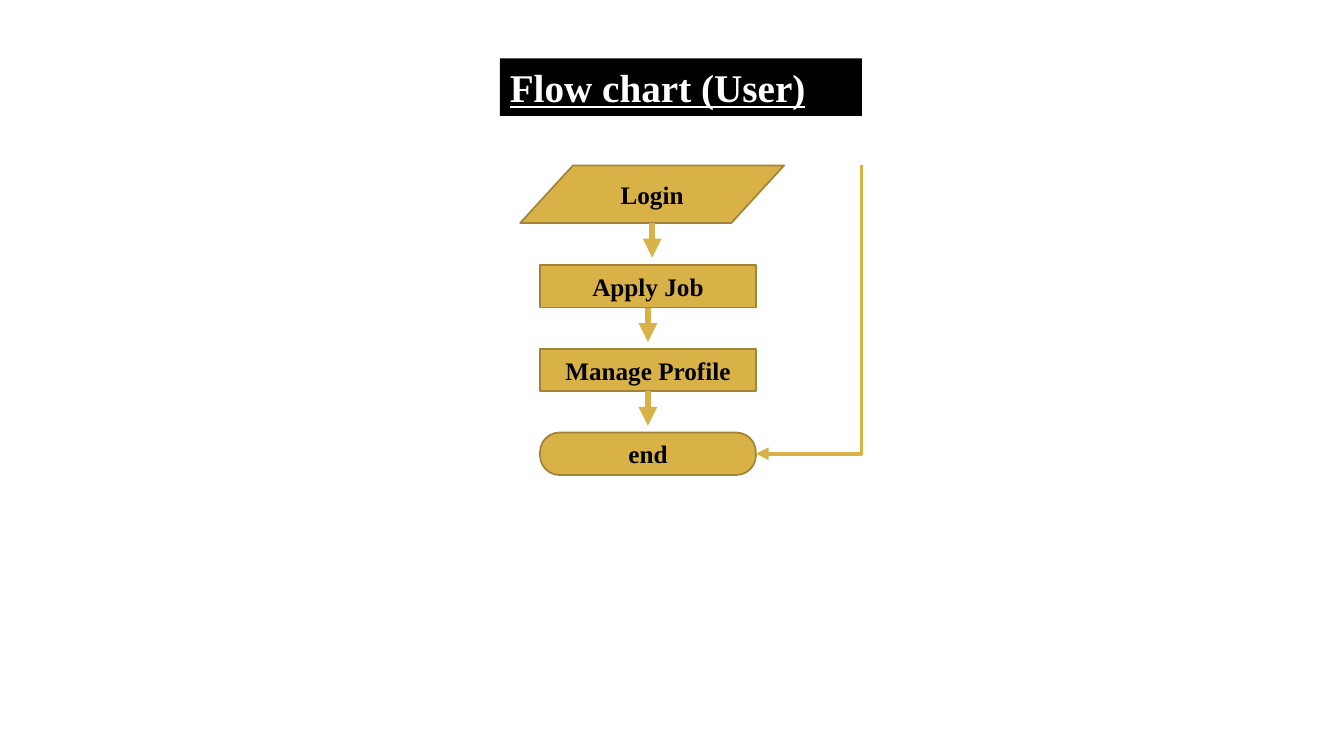
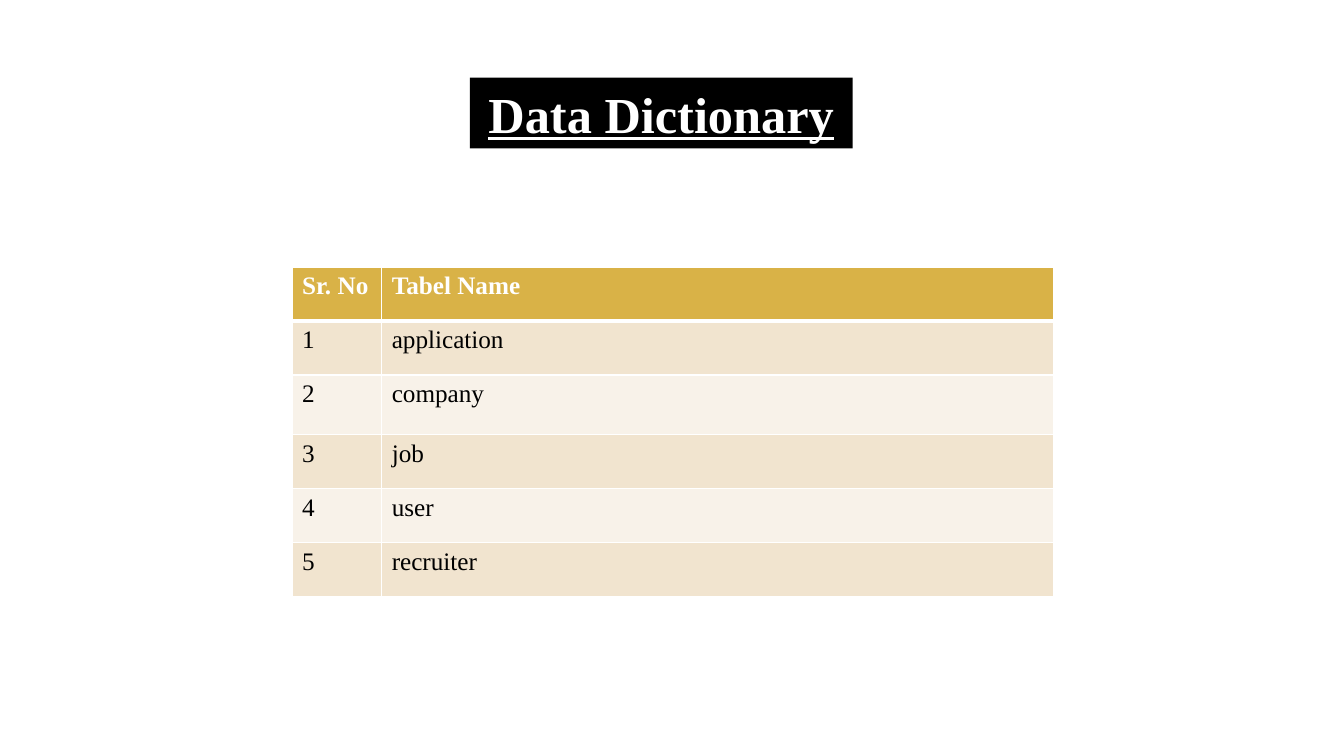
import pptx
import pptx.dml.color
import pptx.enum.shapes
import pptx.enum.text
import pptx.oxml
import pptx.oxml.ns
import pptx.util

Cm = pptx.util.Cm
Pt = pptx.util.Pt
RGB = pptx.dml.color.RGBColor.from_string
Shape = pptx.enum.shapes.MSO_SHAPE
Line = pptx.enum.shapes.MSO_CONNECTOR
Align = pptx.enum.text.PP_ALIGN
Anchor = pptx.enum.text.MSO_ANCHOR
Fit = pptx.enum.text.MSO_AUTO_SIZE


class Theme:
    font = "Times New Roman"
    black = RGB("000000")
    white = RGB("FFFFFF")
    gold = RGB("D9B247")
    edge = RGB("A18435")
    bands = [RGB("F1E4CF"), RGB("F8F2E9")]
    body = Pt(18)
    small = Pt(28)
    large = Pt(36)


def write(frame, text, align, **form):
    par = frame.paragraphs[0]
    par.alignment = align
    run = par.add_run()
    run.text = text
    base = {"name": Theme.font, "size": Theme.body}
    color = form.pop("color")
    for key, value in {**base, **form}.items():
        setattr(run.font, key, value)
    run.font.color.rgb = color


def link(slide, start, end, width, head=True):
    line = slide.shapes.add_connector(Line.STRAIGHT, *map(Cm, start + end))
    line.line.color.rgb = Theme.gold
    line.line.width = Pt(width)
    if head:
        tail = pptx.oxml.ns.qn("a:tailEnd")
        line.line._get_or_add_ln().makeelement(tail)
        node = pptx.oxml.parse_xml(
            f'<a:tailEnd {pptx.oxml.ns.nsdecls("a")} type="triangle"/>')
        line.line._get_or_add_ln().append(node)
    line._element.spPr.append(pptx.oxml.parse_xml(
        f'<a:effectLst {pptx.oxml.ns.nsdecls("a")}/>'))
    return line


deck = pptx.Presentation()
deck.slide_width, deck.slide_height = Cm(33.87), Cm(19.05)

# Titles
titles = [
    ("Flow chart (User)", (12.6, 1.47, 9.12, 1.45), Theme.small, Align.LEFT),
    ("Data Dictionary", (11.84, 1.96, 9.65, 1.78), Theme.large, Align.CENTER),
]
slides = []
for text, place, size, align in titles:
    slide = deck.slides.add_slide(deck.slide_layouts[6])
    box = slide.shapes.add_textbox(*map(Cm, place))
    box.fill.solid()
    box.fill.fore_color.rgb = Theme.black
    box.text_frame.word_wrap = True
    box.text_frame.auto_size = Fit.SHAPE_TO_FIT_TEXT
    write(box.text_frame, text, align, size=size, bold=True,
          underline=True, color=Theme.white)
    slides.append(slide)
flow, data = slides

# Flow steps, each with an arrow down to the next
left, top, wide, high, pitch = 13.61, 6.68, 5.44, 1.07, 2.11
steps = [("Login", Shape.FLOWCHART_DATA, None, (13.11, 4.17, 6.65, 1.45))]
rest = [("Apply Job", 0), ("Manage Profile", 0), ("end", 0.46)]
for i, (text, curve) in enumerate(rest):
    place = (left, top + i * pitch, wide, high)
    steps.append((text, Shape.ROUNDED_RECTANGLE, curve, place))

for text, kind, curve, (x, y, w, h) in steps:
    step = flow.shapes.add_shape(kind, *map(Cm, (x, y, w, h)))
    step.shadow.inherit = False
    step.fill.solid()
    step.fill.fore_color.rgb = Theme.gold
    step.line.color.rgb = Theme.edge
    step.line.width = Pt(1.25)
    if curve is not None:
        step.adjustments[0] = curve
    step.text_frame.word_wrap = True
    step.text_frame.vertical_anchor = Anchor.MIDDLE
    write(step.text_frame, text, Align.CENTER, bold=True, color=Theme.black)
    if text != "end":
        mid, foot = x + w / 2, y + h
        arrow = link(flow, (mid, foot), (mid, foot + 0.87), 4.5)
        if curve is not None:
            arrow.begin_connect(step, 2)

# Side route into the last step
rail = 21.72
level = top + 2 * pitch + high / 2
link(flow, (rail, 4.17), (rail, level + 0.03), 2.25, head=False)
side = link(flow, (rail, level), (left + wide, level), 3)
side.end_connect(step, 3)

# Table of names
names = ["application", "company", "job", "user", "recruiter"]
rows = [("Sr. No", "Tabel Name")]
rows += [(str(i), name) for i, name in enumerate(names, 1)]
cols = [2.26, 16.92]
tall = [1.36, 1.36, 1.5, 1.36, 1.36, 1.36]
grid = data.shapes.add_table(
    len(rows), len(cols), Cm(7.36), Cm(6.73), Cm(sum(cols)), Cm(sum(tall))).table
for col, width in zip(grid.columns, cols):
    col.width = Cm(width)
for r, row in enumerate(rows):
    grid.rows[r].height = Cm(tall[r])
    head = r == 0
    for c, text in enumerate(row):
        cell = grid.cell(r, c)
        edges = {"L": 1, "R": 1, "T": 3 if r == 1 else 1, "B": 3 if head else 1}
        for edge, width in edges.items():
            cell._tc.get_or_add_tcPr().append(pptx.oxml.parse_xml(
                f'<a:ln{edge} {pptx.oxml.ns.nsdecls("a")} w="{Pt(width)}">'
                f'<a:solidFill><a:srgbClr val="{Theme.white}"/></a:solidFill>'
                f'</a:ln{edge}>'))
        cell.fill.solid()
        cell.fill.fore_color.rgb = Theme.gold if head else Theme.bands[(r - 1) % 2]
        write(cell.text_frame, text, Align.LEFT, bold=head,
              color=Theme.white if head else Theme.black)

deck.save("out.pptx")
